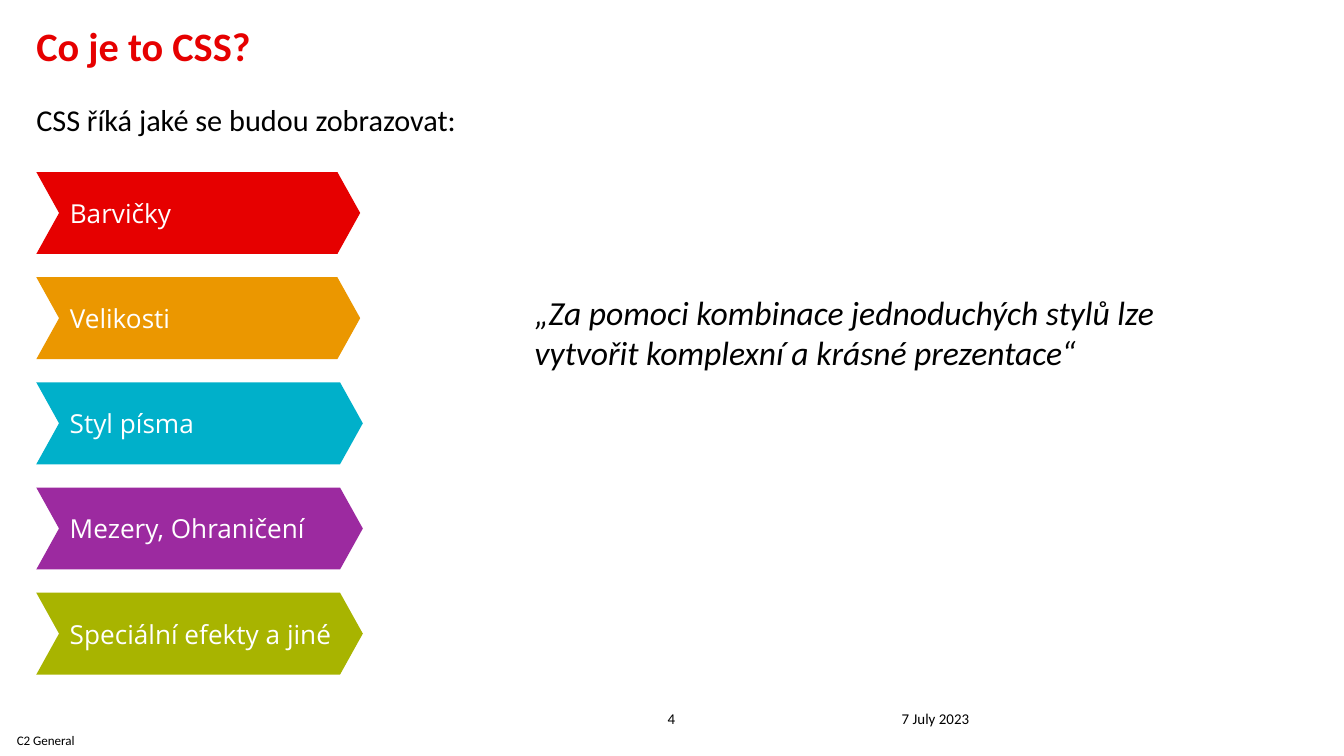
from pptx import Presentation
from pptx import util as u
from pptx.dml.color import RGBColor
from pptx.enum import shapes, text

WIDTH = 10
HEIGHT = WIDTH * 9 / 16
COLORS = {
    "black": "000000",
    "white": "FFFFFF",
    "red": "E60000",
    "orange": "EB9700",
    "turquoise": "00B0CA",
    "purple": "9C2AA0",
    "green": "A8B400",
}
TITLE = "Co je to CSS?"
SUBTITLE = "CSS říká jaké se budou zobrazovat:"
# label, colour, width
CHEVRONS = [
    ("Barvičky", "red", 2.41),
    ("Velikosti", "orange", 2.41),
    ("Styl písma", "turquoise", 2.43),
    ("Mezery, Ohraničení", "purple", 2.43),
    ("Speciální efekty a jiné", "green", 2.43),
]
QUOTE = "„Za pomoci kombinace jednoduchých stylů lze vytvořit komplexní a krásné prezentace“"
# wording, box, size, alignment, anchor, wrap
FOOTERS = [
    ("C2 General", (0, 5.44, 0.68, 0.14), 7, "CENTER", "MIDDLE", True),
    ("4", (4.77, 5.15, 0.45, 0.26), 8, "CENTER", "BOTTOM", False),
    ("7 July 2023", (6.71, 5.15, 2.33, 0.26), 8, "LEFT", "BOTTOM", True),
]
LEFT, FIRST_TOP, LAST_TOP, CHEVRON_HEIGHT = 0.27, 1.28, 4.41, 0.61
ROW_PITCH = (LAST_TOP - FIRST_TOP) / (len(CHEVRONS) - 1)


def color(name):
    return RGBColor.from_string(COLORS[name])


def inches(box):
    return [u.Inches(length) for length in box]


def set_frame(frame, margins, anchor, wrap=True):
    """Margins run left, top, right, bottom, in inches."""
    (frame.margin_left, frame.margin_top,
     frame.margin_right, frame.margin_bottom) = inches(margins)
    frame.vertical_anchor = text.MSO_ANCHOR[anchor]
    frame.word_wrap = wrap
    frame.auto_size = text.MSO_AUTO_SIZE.NONE


def add_run(paragraph, words, size, color_name="black", font="Calibri",
            bold=False, italic=False, align="LEFT"):
    paragraph.alignment = text.PP_ALIGN[align]
    run = paragraph.add_run()
    run.text = words
    run.font.name = font
    run.font.size = u.Pt(size)
    run.font.bold = bold
    run.font.italic = italic
    run.font.color.rgb = color(color_name)


def add_title(slide):
    title = slide.shapes.title
    title.left, title.top, title.width, title.height = inches((LEFT, 0.23, 9.44, 0.97))
    frame = title.text_frame
    set_frame(frame, (0, 0, 0, 0), "TOP")
    heading, subtitle = frame.paragraphs[0], frame.add_paragraph()
    heading.line_spacing = subtitle.line_spacing = 0.8
    heading.space_before = u.Pt(0)
    subtitle.space_before = u.Pt(20.5)
    add_run(heading, TITLE, 21.6, "red", bold=True)
    add_run(subtitle, SUBTITLE, 16.2)


def add_chevron(slide, row, label, fill, width):
    box = (LEFT, FIRST_TOP + row * ROW_PITCH, width, CHEVRON_HEIGHT)
    chevron = slide.shapes.add_shape(shapes.MSO_SHAPE.CHEVRON, *inches(box))
    chevron.adjustments[0] = 0.278
    chevron.shadow.inherit = False
    chevron.fill.solid()
    chevron.fill.fore_color.rgb = color(fill)
    chevron.line.fill.background()
    set_frame(chevron.text_frame, (0.08, 0.04, 0.04, 0.04), "MIDDLE")
    add_run(chevron.text_frame.paragraphs[0], label, 14, "white", "Open Sans")


def main():
    presentation = Presentation()
    presentation.slide_width, presentation.slide_height = inches((WIDTH, HEIGHT))
    slide = presentation.slides.add_slide(presentation.slide_layouts[5])

    add_title(slide)
    for row, (label, fill, width) in enumerate(CHEVRONS):
        add_chevron(slide, row, label, fill, width)

    quote = slide.shapes.add_textbox(*inches((3.88, 2.12, 5, 0.71))).text_frame
    set_frame(quote, (0.1, 0.05, 0.1, 0.05), "TOP")
    add_run(quote.paragraphs[0], QUOTE, 18, italic=True)

    for words, box, size, align, anchor, wrap in FOOTERS:
        frame = slide.shapes.add_textbox(*inches(box)).text_frame
        set_frame(frame, (0, 0, 0, 0), anchor, wrap)
        add_run(frame.paragraphs[0], words, size, align=align)

    presentation.save("out.pptx")


if __name__ == "__main__":
    main()
